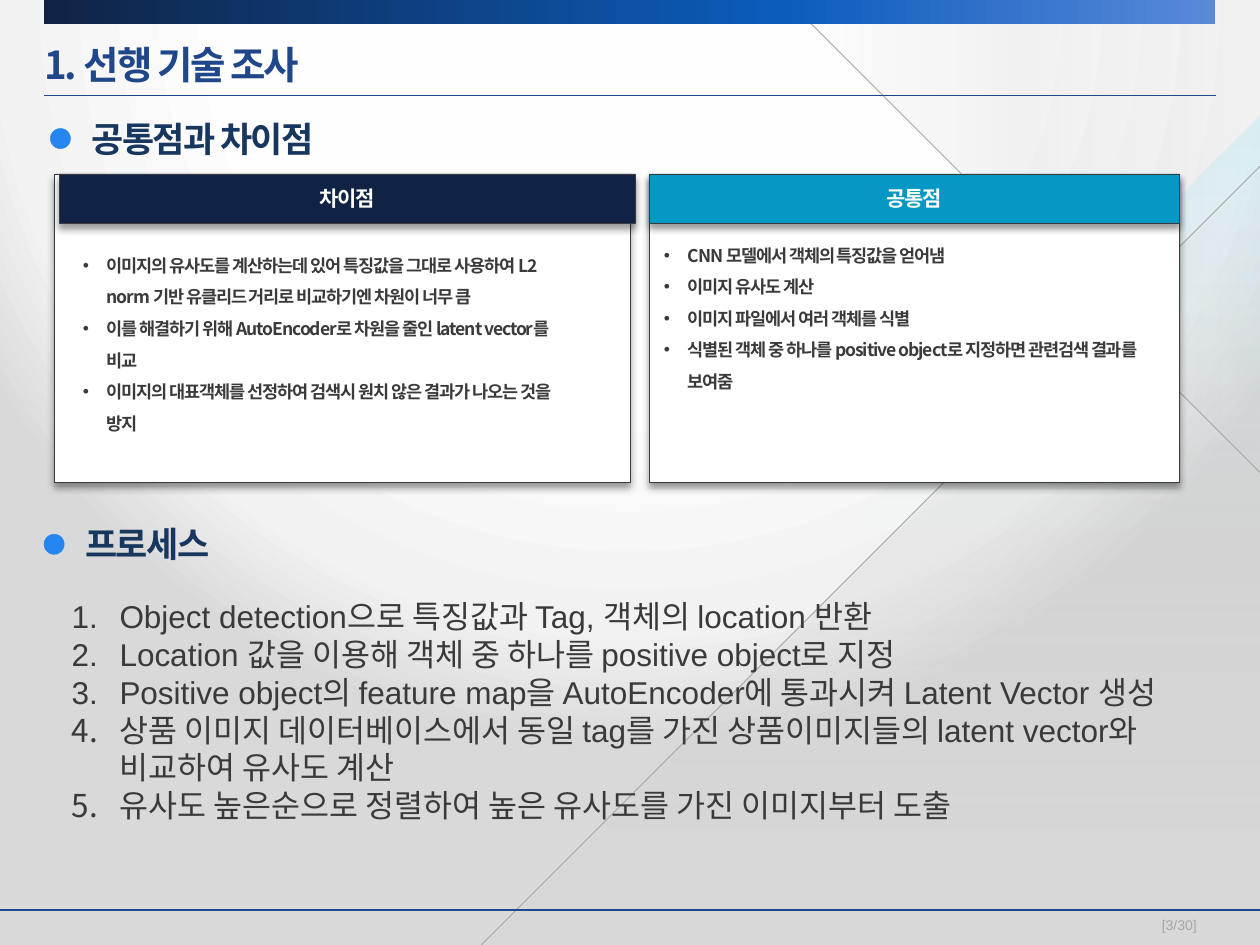
from lxml import etree
from pptx import Presentation
from pptx.dml.color import RGBColor
from pptx.enum.shapes import MSO_CONNECTOR, MSO_SHAPE
from pptx.enum.text import MSO_ANCHOR, MSO_AUTO_SIZE, PP_ALIGN
from pptx.oxml.ns import qn
from pptx.util import Inches, Pt

RECT, OVAL = MSO_SHAPE.RECTANGLE, MSO_SHAPE.OVAL
TRIANGLE = MSO_SHAPE.RIGHT_TRIANGLE
STRAIGHT = MSO_CONNECTOR.STRAIGHT
TOP, MIDDLE = MSO_ANCHOR.TOP, MSO_ANCHOR.MIDDLE
LEFT, CENTER = PP_ALIGN.LEFT, PP_ALIGN.CENTER
FIT = MSO_AUTO_SIZE.SHAPE_TO_FIT_TEXT
KOREAN, LATIN = "Noto Sans CJK KR", "Arial"
BLUE, NAVY, INK, GRAY = "1F4789", "102344", "3A3A3A", "A6A6A6"
SHEEN = [(0, "BFBFBF", 0), (50, "BFBFBF", 20), (100, "BFBFBF", 0)]
HEADING_FILL = [(0, "17375E"), (100, "0070C0")]

DIFFERENCES = [
    "이미지의 유사도를 계산하는데 있어 특징값을 그대로 사용하여 L2 norm 기반 유클리드 거리로 비교하기엔 차원이 너무 큼",
    "이를 해결하기 위해 AutoEncoder로 차원을 줄인 latent vector를 비교",
    "이미지의 대표객체를 선정하여 검색시 원치 않은 결과가 나오는 것을 방지",
]
COMMON_POINTS = [
    "CNN 모델에서 객체의 특징값을 얻어냄",
    "이미지 유사도 계산",
    "이미지 파일에서 여러 객체를 식별",
    "식별된 객체 중 하나를 positive object로 지정하면 관련검색 결과를 보여줌",
]
PROCESS = [
    "Object detection으로 특징값과 Tag, 객체의 location 반환",
    "Location 값을 이용해 객체 중 하나를 positive object로 지정",
    "Positive object의 feature map을 AutoEncoder에 통과시켜 Latent Vector 생성",
    "상품 이미지 데이터베이스에서 동일 tag를 가진 상품이미지들의 latent vector와 비교하여 유사도 계산",
    "유사도 높은순으로 정렬하여 높은 유사도를 가진 이미지부터 도출",
]


def rgb(value):
    return RGBColor.from_string(value)


def add_xml(parent, tag, **attrs):
    return etree.SubElement(parent, qn(tag), {k: str(v) for k, v in attrs.items()})


def gradient(stops, angle=0, focus=None):
    """Gradient fill from (position, colour[, opacity]) stops."""
    grad = etree.Element(qn("a:gradFill"), rotWithShape="1")
    gs_list = add_xml(grad, "a:gsLst")
    for pos, color, *opacity in stops:
        gs = add_xml(gs_list, "a:gs", pos=pos * 1000)
        clr = add_xml(gs, "a:srgbClr", val=color)
        if opacity:
            add_xml(clr, "a:alpha", val=opacity[0] * 1000)
    if focus:
        circle = add_xml(grad, "a:path", path="circle")
        add_xml(circle, "a:fillToRect", **{k: v * 1000 for k, v in focus.items()})
    else:
        add_xml(grad, "a:lin", ang=angle * 60000, scaled=0)
    return grad


def style_shape(sp, fill, line=None, angle=0, shadow=False):
    sp.shadow.inherit = False
    if isinstance(fill, str):
        sp.fill.solid()
        sp.fill.fore_color.rgb = rgb(fill)
    else:
        sp.fill.background()
        spPr = sp._element.spPr
        spPr.replace(spPr.find(qn("a:noFill")), gradient(fill, angle))
    if line:
        sp.line.color.rgb = rgb(line)
        sp.line.width = Pt(0.25)
    else:
        sp.line.fill.background()
    if shadow:
        effects = sp._element.spPr.find(qn("a:effectLst"))
        outer = add_xml(effects, "a:outerShdw", blurRad=Pt(4), dist=Pt(3),
                        dir=90 * 60000, algn="t", rotWithShape=0)
        clr = add_xml(outer, "a:srgbClr", val="000000")
        add_xml(clr, "a:alpha", val=40000)


def add_box(s, kind, x, y, w, h, fill, rotation=0, **style):
    sp = s.shapes.add_shape(kind, Inches(x), Inches(y), Inches(w), Inches(h))
    sp.rotation = rotation
    style_shape(sp, fill, **style)
    return sp


def add_line(s, x1, y1, x2, y2, color, width):
    cn = s.shapes.add_connector(STRAIGHT, Inches(x1), Inches(y1), Inches(x2), Inches(y2))
    cn.line.color.rgb = rgb(color)
    cn.line.width = Pt(width)
    add_xml(cn._element.spPr, "a:effectLst")


def write_text(sp, lines, size, color, font=KOREAN, bold=False, tracking=0,
               align=LEFT, anchor=TOP, indent=0, bullet=None, spacing=None, after=0):
    tf = sp.text_frame
    tf.word_wrap = True
    tf.vertical_anchor = anchor
    for i, line in enumerate(lines):
        p = tf.add_paragraph() if i else tf.paragraphs[0]
        p.alignment = align
        p.space_after = Pt(after)
        if spacing:
            p.line_spacing = spacing
        if bullet:
            pPr = p._p.get_or_add_pPr()
            pPr.set("marL", str(Inches(indent)))
            pPr.set("indent", str(-Inches(indent)))
            add_xml(pPr, "a:buFont", typeface=LATIN)
            if bullet == "1.":
                add_xml(pPr, "a:buAutoNum", type="arabicPeriod")
            else:
                add_xml(pPr, "a:buChar", char=bullet)
        r = p.add_run()
        r.text = line
        r.font.size, r.font.bold, r.font.name = Pt(size), bold, font
        rPr = r._r.get_or_add_rPr()
        rPr.find(qn("a:latin")).addnext(etree.Element(qn("a:ea"), typeface=KOREAN))
        if tracking:
            rPr.set("spc", str(round(tracking * 100)))
        if isinstance(color, str):
            r.font.color.rgb = rgb(color)
        else:
            rPr.insert(0, gradient(color, 90))


def add_text(s, x, y, w, h, lines, size, color, inset=True, **fmt):
    sp = s.shapes.add_textbox(Inches(x), Inches(y), Inches(w), Inches(h))
    tf = sp.text_frame
    write_text(sp, lines, size, color, **fmt)
    if inset:
        tf.auto_size = FIT
    else:
        tf.margin_left = tf.margin_top = tf.margin_right = tf.margin_bottom = 0


def add_heading(s, x, y, text):
    add_text(s, x + 0.23, y, 7.87, 0.44, [text], 20, HEADING_FILL,
             bold=True, tracking=-1, after=6)
    add_box(s, OVAL, x, y + 0.14, 0.16, 0.16, "2586F1", line="2586F1")


def add_panel(s, x, header_x, w, title, fill, text_x, text_y, text_h, items):
    y = 1.38
    add_box(s, RECT, x, y, w, 2.45, "FFFFFF", line=INK, shadow=True)
    header = add_box(s, RECT, header_x, y, w, 0.39, fill, line=INK, shadow=True)
    write_text(header, [title], 12, "FFFFFF", font=LATIN, bold=True,
               tracking=-0.8, align=CENTER, anchor=MIDDLE)
    add_text(s, text_x, text_y, 4.13, text_h, items, 10, INK, bold=True,
             tracking=-0.6, indent=0.19, bullet="•", spacing=1.5)


def add_backdrop(s):
    s.background.fill.solid()
    bgPr = s._element.cSld.find(qn("p:bg")).find(qn("p:bgPr"))
    stops = [(0, "FFFFFF"), (50, "FEFEFE"), (80, "F2F2F2"), (95, "D9D9D9")]
    bgPr.replace(bgPr.find(qn("a:solidFill")),
                 gradient(stops, focus={"l": 50, "t": -80, "r": 50, "b": 180}))
    # Translucent corner facets
    fb = s.shapes.build_freeform(Inches(10), Inches(7.5))
    fb.add_line_segments([(Inches(3.38), Inches(7.5)), (Inches(10), Inches(0.92))])
    style_shape(fb.convert_to_shape(),
                [(0, "BFBFBF", 0), (50, "D0F3FE", 0), (100, "A1E7FC", 30)], angle=270)
    add_box(s, TRIANGLE, 3.82, 1.32, 6.18, 6.18, SHEEN, rotation=270)
    add_box(s, TRIANGLE, 6.25, 0, 3.75, 3.75, SHEEN, rotation=180)
    add_line(s, 3.82, 7.5, 10, 1.32, GRAY, 0.5)
    add_line(s, 6.25, 0, 10, 3.75, GRAY, 0.5)
    # Footer rule, top band and title rule
    add_line(s, 0, 7.22, 10, 7.22, BLUE, 1)
    add_box(s, RECT, 0.35, 0, 9.29, 0.19, [(0, NAVY), (63, "0C5CBC"), (100, "5889D9")])
    add_line(s, 0.35, 0.76, 9.65, 0.76, BLUE, 0.5)


def main():
    prs = Presentation()
    prs.slide_width, prs.slide_height = Inches(10), Inches(7.5)
    s = prs.slides.add_slide(prs.slide_layouts[6])
    add_backdrop(s)
    # Title and page number
    add_text(s, 0.35, 0.27, 9.29, 0.48, ["1. 선행 기술 조사"], 22, BLUE, inset=False,
             bold=True, tracking=-1.2, anchor=MIDDLE)
    add_text(s, 8.72, 7.24, 1.28, 0.2, ["[3/30]"], 8, GRAY, inset=False,
             font=LATIN, align=CENTER, anchor=MIDDLE)
    # Comparison
    add_heading(s, 0.4, 0.88, "공통점과 차이점")
    add_panel(s, 5.15, 5.15, 4.21, "공통점", "0698C4", 5.17, 1.81, 2.59, COMMON_POINTS)
    add_panel(s, 0.43, 0.47, 4.57, "차이점", NAVY, 0.56, 1.89, 2.09, DIFFERENCES)
    # Process
    add_heading(s, 0.35, 4.1, "프로세스")
    add_text(s, 0.47, 4.69, 9.02, 2.22, PROCESS, 18, INK, font=LATIN,
             indent=0.38, bullet="1.")
    prs.save("out.pptx")


main()
